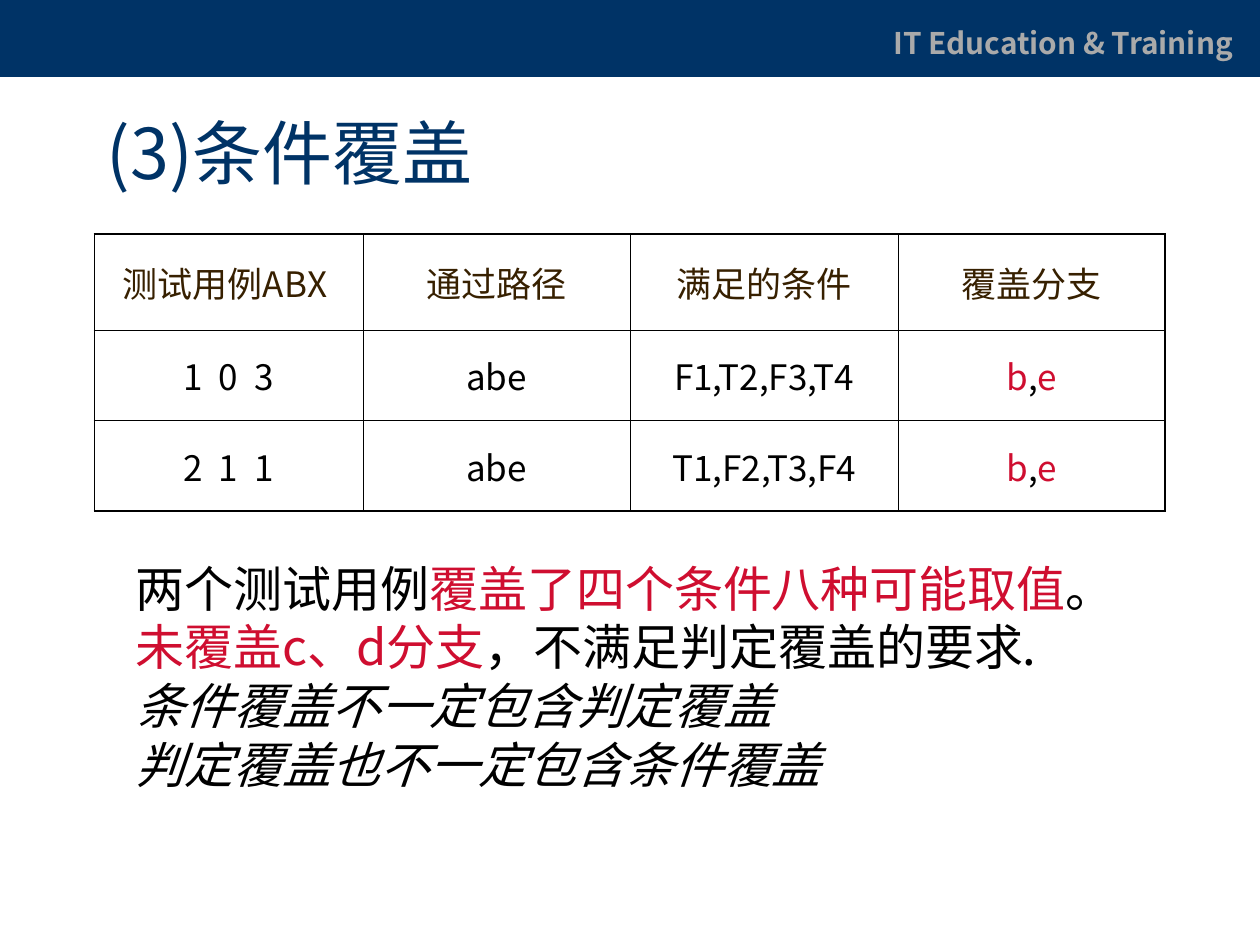
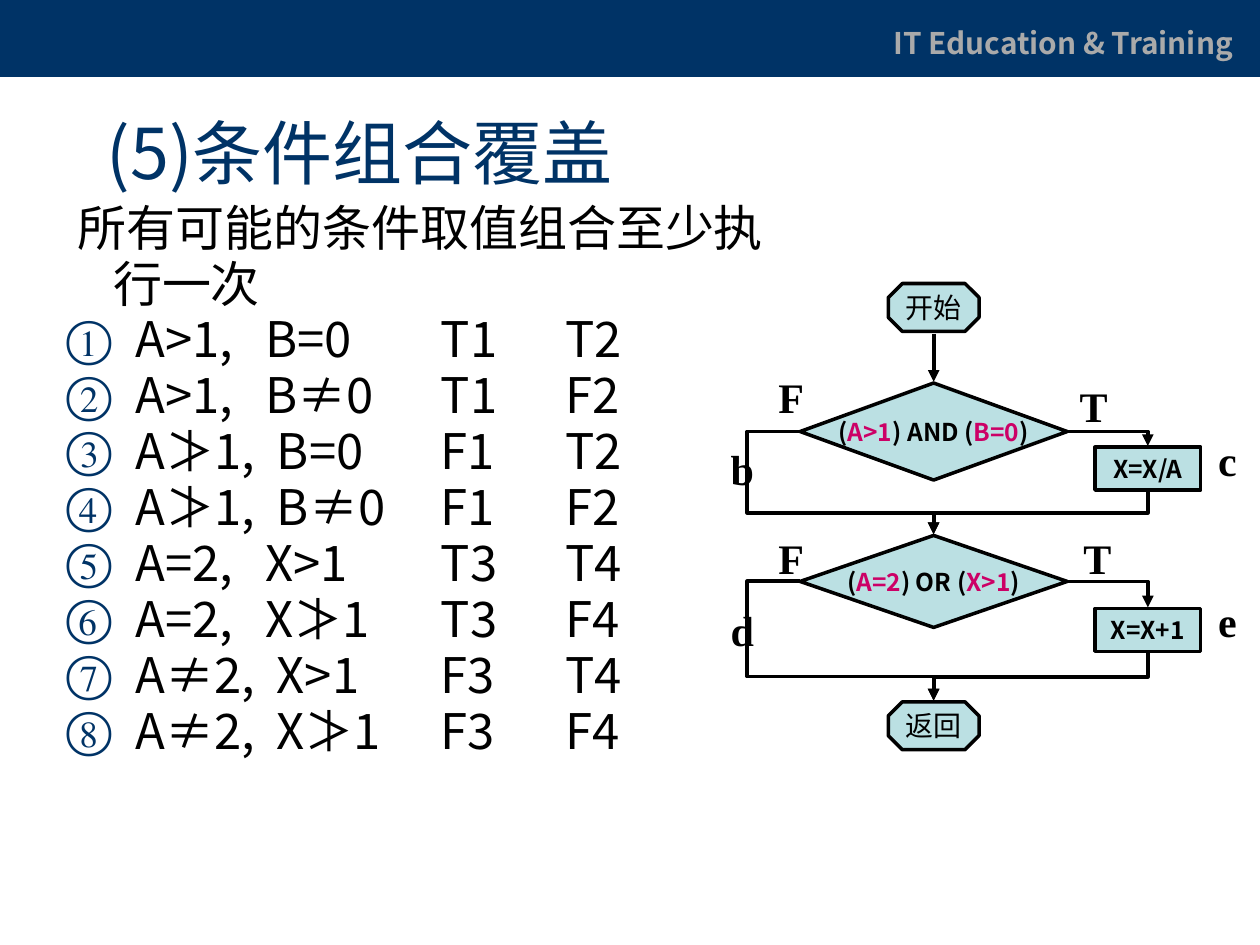
import pptx
import pptx.util
import pptx.dml.color
import pptx.enum.shapes
import pptx.enum.text
import pptx.oxml.ns
from lxml import etree
from pptx.util import Inches

COLORS = {"navy": "003366", "grey": "AAAAAA", "black": "000000", "brown": "372000",
          "red": "CF0E30", "pink": "CC0066", "aqua": "BBE0E3", "white": "FFFFFF"}
SANS = "Noto Sans CJK SC"
SERIF = "Times New Roman"
SHAPE = pptx.enum.shapes.MSO_SHAPE
CONNECTOR = pptx.enum.shapes.MSO_CONNECTOR
ALIGN = pptx.enum.text.PP_ALIGN
ANCHOR = pptx.enum.text.MSO_ANCHOR


def color(name):
    return pptx.dml.color.RGBColor.from_string(COLORS[name])


def add_xml(parent, tag, **attributes):
    return etree.SubElement(parent, pptx.oxml.ns.qn(tag), attributes)


class Lesson:
    def __init__(self):
        self.deck = pptx.Presentation()
        self.deck.slide_width = Inches(10)
        self.deck.slide_height = Inches(7.5)
        self.page = None

    def new_page(self, title):
        self.page = self.deck.slides.add_slide(self.deck.slide_layouts[6])
        self.shape(SHAPE.RECTANGLE, 0, 0, 10, 0.61, "navy")
        self.text(7, 0.15, 2.93, 0.66, [[("IT Education & Training", "grey")]],
                  17, inset=0.09, bold=True)
        self.text(0.75, 0.68, 8.5, 1.04, [[(title, "navy")]], 40, anchor=ANCHOR.MIDDLE)

    def spans(self, para, runs, size, font=SANS, bold=False, italic=False):
        for words, tint in runs:
            span = para.add_run()
            span.text = words
            span.font.name = font
            span.font.size = pptx.util.Pt(size)
            span.font.bold = bold
            span.font.italic = italic
            span.font.color.rgb = color(tint)
            add_xml(span.font._element, "a:ea", typeface=font)

    def frame(self, box, anchor=ANCHOR.TOP, wrap=True, inset=0.1):
        frame = box.text_frame
        frame.word_wrap = wrap
        frame.vertical_anchor = anchor
        frame.margin_left = frame.margin_right = Inches(inset)
        frame.margin_top = frame.margin_bottom = Inches(0.05)
        return frame

    def text(self, left, top, width, height, lines, size, anchor=ANCHOR.TOP,
             inset=0.1, italic_from=None, **style):
        box = self.page.shapes.add_textbox(Inches(left), Inches(top), Inches(width), Inches(height))
        frame = self.frame(box, anchor, inset=inset)
        for number, runs in enumerate(lines):
            para = frame.add_paragraph() if number else frame.paragraphs[0]
            italic = italic_from is not None and number >= italic_from
            self.spans(para, runs, size, italic=italic, **style)
        return frame

    def shape(self, kind, left, top, width, height, fill, outline=None):
        shape = self.page.shapes.add_shape(kind, Inches(left), Inches(top), Inches(width), Inches(height))
        shape.shadow.inherit = False
        shape.fill.solid()
        shape.fill.fore_color.rgb = color(fill)
        if outline:
            shape.line.color.rgb = color(outline)
            shape.line.width = pptx.util.Pt(2)
        else:
            shape.line.fill.background()
        return shape

    def flow_box(self, kind, center, top, width, height, runs, size=14, bold=True):
        shape = self.shape(kind, center - width / 2, top, width, height, "aqua", "black")
        frame = self.frame(shape, ANCHOR.MIDDLE, wrap=False)
        para = frame.paragraphs[0]
        para.alignment = ALIGN.CENTER
        self.spans(para, runs, size, bold=bold)

    def arrow(self, start, end, kind=CONNECTOR.STRAIGHT):
        line = self.page.shapes.add_connector(kind, *(Inches(value) for value in start + end))
        line.line.color.rgb = color("black")
        line.line.width = pptx.util.Pt(2.25)
        add_xml(line.line._get_or_add_ln(), "a:tailEnd", type="triangle")
        add_xml(line._element.spPr, "a:effectLst")
        return line

    def elbow(self, start, end, preset, adjustments=(), **turn):
        line = self.arrow(start, end, CONNECTOR.ELBOW)
        properties = line._element.spPr
        for name, value in turn.items():
            properties.xfrm.set(name, value)
        geometry = properties.find(pptx.oxml.ns.qn("a:prstGeom"))
        geometry.set("prst", preset)
        guides = geometry.find(pptx.oxml.ns.qn("a:avLst"))
        for number, value in enumerate(adjustments, 1):
            add_xml(guides, "a:gd", name=f"adj{number}", fmla=f"val {round(value * 100000)}")

    def elbow_across(self, start, end):
        center_x, center_y = (start[0] + end[0]) / 2, (start[1] + end[1]) / 2
        across, down = (start[0] - end[0]) / 2, (end[1] - start[1]) / 2
        self.elbow((center_x - down, center_y - across), (center_x + down, center_y + across),
                   "bentConnector3", [0.5], rot="5400000")

    def table(self, left, top, widths, heights, rows, size):
        table = self.page.shapes.add_table(
            len(heights), len(widths), Inches(left), Inches(top),
            Inches(sum(widths)), Inches(sum(heights))).table
        for column, width in zip(table.columns, widths):
            column.width = Inches(width)
        for row, height in zip(table.rows, heights):
            row.height = Inches(height)
        for r, row in enumerate(rows):
            for c, runs in enumerate(row):
                cell = table.cell(r, c)
                cell.vertical_anchor = ANCHOR.MIDDLE
                para = cell.text_frame.paragraphs[0]
                para.alignment = ALIGN.CENTER
                self.spans(para, runs, size)
                outer = {"L": c == 0, "R": c == len(widths) - 1,
                         "T": r == 0, "B": r == len(heights) - 1}
                self.borders(cell, outer)
                cell.fill.solid()
                cell.fill.fore_color.rgb = color("white")
        return table

    def borders(self, cell, outer):
        properties = cell._tc.get_or_add_tcPr()
        for side, edge in outer.items():
            width = pptx.util.Pt(1.25 if edge else 0.45)
            line = add_xml(properties, "a:ln" + side, w=str(int(width)))
            fill = add_xml(line, "a:solidFill")
            add_xml(fill, "a:srgbClr", val=COLORS["black"])

    def layout_para(self, para, margin, indent, bullet=None, tabs=()):
        para.line_spacing = 0.95
        properties = para._p.get_or_add_pPr()
        properties.set("marL", str(Inches(margin)))
        properties.set("indent", str(Inches(indent)))
        if bullet:
            tint = add_xml(properties, "a:buClr")
            add_xml(tint, "a:srgbClr", val=COLORS["navy"])
            add_xml(properties, "a:buFont", typeface=SERIF)
            add_xml(properties, "a:buChar", char=bullet)
        if tabs:
            stops = add_xml(properties, "a:tabLst")
            for stop in tabs:
                add_xml(stops, "a:tab", pos=str(Inches(stop)), algn="l")


def condition_page(lesson):
    lesson.new_page("(3)条件覆盖")
    branches = [("b", "red"), (",", "black"), ("e", "red")]
    headings = ["测试用例ABX", "通过路径", "满足的条件", "覆盖分支"]
    cases = [("1 0 3", "abe", "F1,T2,F3,T4"), ("2 1 1", "abe", "T1,F2,T3,F4")]
    rows = [[[(heading, "brown")] for heading in headings]]
    rows += [[[(value, "black")] for value in case] + [branches] for case in cases]
    table = lesson.table(0.75, 1.86, [2.13, 2.12, 2.13, 2.12], [0.76, 0.72, 0.72], rows, 20)
    table.cell(0, 0).margin_right = Inches(0.16)
    for number in range(1, len(rows)):
        span = table.cell(number, 0).text_frame.paragraphs[0].runs[0]
        span.font._element.set("spc", "225")
    lesson.text(0.98, 4.38, 8.19, 1.97, [
        [("两个测试用例", "black"), ("覆盖了四个条件八种可能取值", "red"), ("。", "black")],
        [("未覆盖c、d分支", "red"), ("，不满足判定覆盖的要求.", "black")],
        [("条件覆盖不一定包含判定覆盖", "black")],
        [("判定覆盖也不一定包含条件覆盖", "black")]], 28, italic_from=2)


def combination_page(lesson):
    lesson.new_page("(5)条件组合覆盖")
    pairs = [(first, second) for firsts, seconds in
             ((("A>1", "A≯1"), ("B=0", "B≠0")), (("A=2", "A≠2"), ("X>1", "X≯1")))
             for first in firsts for second in seconds]
    lines = ["所有可能的条件取值组合至少执行一次"]
    for number, (first, second) in enumerate(pairs):
        base = 1 + number // 4 * 2
        left = "TF"[number // 2 % 2] + str(base)
        right = "TF"[number % 2] + str(base + 1)
        lines.append(f"{first},\t{second}\t{left}\t{right}")
    frame = lesson.text(0.43, 1.55, 6.06, 4.5, [[(line, "black")] for line in lines], 28)
    lesson.layout_para(frame.paragraphs[0], 0.37, -0.28)
    for number, bullet in enumerate("①②③④⑤⑥⑦⑧"):
        second_stop = 1.67 if number // 2 % 2 else 1.58
        lesson.layout_para(frame.paragraphs[number + 1], 0.55, -0.55, bullet,
                           (second_stop, 2.97, 3.96))
    flowchart(lesson)


def flowchart(lesson):
    center, action, bypass = 7.41, 9.11, 5.93
    half = 1.06
    for top, words in ((2.25, "开始"), (5.57, "返回")):
        lesson.flow_box(SHAPE.OCTAGON, center, top, 0.72, 0.38, [(words, "black")], 16, False)
    lesson.arrow((center, 2.65), (center, 3.03))
    decisions = [
        (3.04, 0.77, "A>1", ") AND (", "B=0", 3.55, "X=X/A", 4.24),
        (4.25, 0.73, "A=2", ") OR (", "X>1", 4.83, "X=X+1", 5.56)]
    for top, height, first, joint, second, step_top, step, end in decisions:
        middle = top + height / 2
        left = center - half
        merge = (step_top + 0.35 + end) / 2
        lesson.flow_box(SHAPE.DIAMOND, center, top, 2 * half, height, [
            ("(", "black"), (first, "pink"), (joint, "black"), (second, "pink"), (")", "black")])
        lesson.flow_box(SHAPE.RECTANGLE, action, step_top, 0.84, 0.34, [(step, "black")])
        lesson.elbow((center + half, middle), (action, step_top - 0.01), "bentConnector2")
        lesson.elbow_across((action, step_top + 0.35), (center, end))
        lesson.elbow((left, middle), (center, end), "bentConnector4",
                     [(bypass - left) / half, (merge - middle) / (end - middle)],
                     rot="10800000", flipH="1", flipV="1")
    labels = [("F", 6.09, 2.9), ("F", 6.09, 4.18), ("T", 8.48, 2.97), ("T", 8.51, 4.18),
              ("b", 5.71, 3.47), ("d", 5.71, 4.75), ("c", 9.58, 3.4), ("e", 9.58, 4.68)]
    for letter, left, top in labels:
        lesson.text(left - 0.01, top, 0.4, 0.5, [[(letter, "black")]], 24, font=SERIF, bold=True)


def main():
    lesson = Lesson()
    condition_page(lesson)
    combination_page(lesson)
    lesson.deck.save("out.pptx")


if __name__ == "__main__":
    main()
